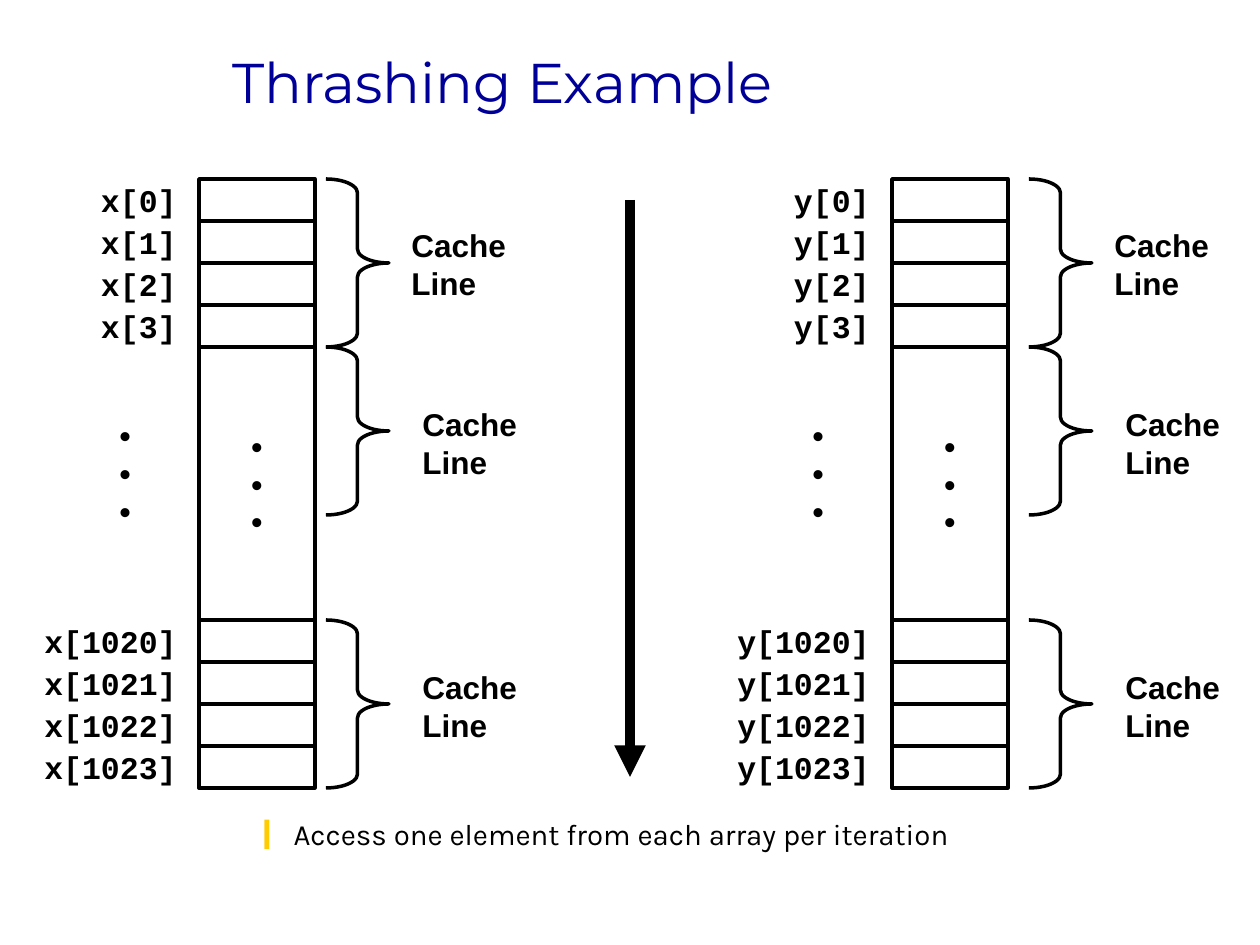
"""Build the "Thrashing Example" slide: two arrays that share cache lines."""
import pptx
import pptx.util
from dataclasses import dataclass
from lxml import etree
from pptx.dml.color import RGBColor
from pptx.enum.shapes import MSO_CONNECTOR, MSO_SHAPE
from pptx.enum.text import MSO_ANCHOR, MSO_AUTO_SIZE, PP_ALIGN
from pptx.oxml.ns import qn


@dataclass(frozen=True)
class Theme:
    ink: RGBColor = RGBColor(0, 0, 0)
    paper: RGBColor = RGBColor(255, 255, 255)
    title: RGBColor = RGBColor(0, 0, 0x99)
    bullet: str = "FFCC00"
    title_size: float = 32
    body_size: float = 16.8
    label_size: float = 18
    outline: float = 2
    arrow: float = 6
    title_font: str = "Montserrat"
    body_font: str = "Karla"
    label_font: str = "Arial"
    code_font: str = "Courier New"


THEME = Theme()
TITLE = "Thrashing Example"
NOTE = "Access one element from each array per iteration"
DOTS = ["•"] * 3
CACHE_LINE = ["Cache", "Line"]
ARRAYS = [
    {"name": "x", "left": 42, "brace": 326},
    {"name": "y", "left": 735, "brace": 1029},
]
ROW = 42
GROUP = 4 * ROW
TOP = 179
GAP = 273
LAST = TOP + GROUP + GAP
BLOCKS = [(0, TOP), (1020, LAST)]
CACHE_LINES = [
    {"top": TOP, "text_shift": 73, "text_top": 220},
    {"top": TOP + GROUP, "text_shift": 84, "text_top": 399},
    {"top": LAST, "text_shift": 84, "text_top": 662},
]


def px(*lengths):
    return [pptx.util.Emu(length * 914400 // 126) for length in lengths]


def write(shape, lines, size, font, color=THEME.ink, bold=False, align=PP_ALIGN.LEFT):
    frame = shape.text_frame
    frame.text = "\n".join(lines)
    for para in frame.paragraphs:
        para.alignment = align
        para.font.size = pptx.util.Pt(size)
        para.font.name = font
        para.font.bold = bold
        para.font.color.rgb = color


def add_rect(slide, place, outlined, lines=(), font=THEME.label_font, align=PP_ALIGN.CENTER):
    rect = slide.shapes.add_shape(MSO_SHAPE.RECTANGLE, *px(*place))
    rect.shadow.inherit = False
    rect.fill.solid()
    rect.fill.fore_color.rgb = THEME.paper
    if outlined:
        rect.line.color.rgb = THEME.ink
        rect.line.width = pptx.util.Pt(THEME.outline)
    else:
        rect.line.fill.background()
    if lines:
        rect.text_frame.word_wrap = False
        rect.text_frame.vertical_anchor = MSO_ANCHOR.MIDDLE
        write(rect, lines, THEME.label_size, font, bold=True, align=align)


def add_label(slide, place, lines, align=PP_ALIGN.LEFT):
    box = slide.shapes.add_textbox(*px(*place))
    box.text_frame.word_wrap = False
    box.text_frame.auto_size = MSO_AUTO_SIZE.SHAPE_TO_FIT_TEXT
    write(box, lines, THEME.label_size, THEME.label_font, bold=True, align=align)


def add_brace(slide, left, top):
    brace = slide.shapes.add_shape(MSO_SHAPE.RIGHT_BRACE, *px(left, top, 63, GROUP))
    brace.shadow.inherit = False
    brace.adjustments[0] = 0.22
    brace.fill.background()
    brace.line.color.rgb = THEME.ink
    brace.line.width = pptx.util.Pt(THEME.outline)


def add_array(slide, array):
    left = array["left"]
    cells = left + 157
    for first, top in BLOCKS:
        for row in range(4):
            y = top + row * ROW
            add_rect(slide, (cells, y, 116, ROW), True)
            add_rect(slide, (left, y, 147, ROW), False, [f"{array['name']}[{first + row}]"],
                     THEME.code_font, PP_ALIGN.RIGHT)
    add_rect(slide, (cells, TOP + GROUP, 116, GAP), True, DOTS)
    add_label(slide, (left + 64, 410, 37, 126), DOTS, PP_ALIGN.RIGHT)
    for line in CACHE_LINES:
        add_brace(slide, array["brace"], line["top"])
        place = (array["brace"] + line["text_shift"], line["text_top"], 120, 88)
        add_label(slide, place, CACHE_LINE)


def add_arrow(slide):
    arrow = slide.shapes.add_connector(MSO_CONNECTOR.STRAIGHT, *px(630, 200, 630, 777))
    arrow.line.color.rgb = THEME.ink
    arrow.line.width = pptx.util.Pt(THEME.arrow)
    etree.SubElement(arrow.line._get_or_add_ln(), qn("a:tailEnd"), type="triangle")
    etree.SubElement(arrow._element.spPr, qn("a:effectLst"))


def place_text(shape, place, anchor):
    shape.left, shape.top, shape.width, shape.height = px(*place)
    shape.text_frame.auto_size = MSO_AUTO_SIZE.NONE
    shape.text_frame.vertical_anchor = anchor


def add_note(body):
    place_text(body, (179, 819, 892, 64), MSO_ANCHOR.TOP)
    write(body, [NOTE], THEME.body_size, THEME.body_font)
    para = body.text_frame.paragraphs[0]
    para.level = 1
    para.line_spacing = 0.7
    para.space_before = pptx.util.Pt(6)
    props = para._p.get_or_add_pPr()
    indent, hanging = px(102, -39)
    props.set("marL", str(indent))
    props.set("indent", str(hanging))
    color = etree.Element(qn("a:buClr"))
    etree.SubElement(color, qn("a:srgbClr"), val=THEME.bullet)
    mark = etree.Element(qn("a:buChar"), char="❙")
    defaults = props.find(qn("a:defRPr"))
    defaults.addprevious(color)
    defaults.addprevious(mark)


def main():
    deck = pptx.Presentation()
    deck.slide_width, deck.slide_height = px(1260, 945)
    slide = deck.slides.add_slide(deck.slide_layouts[1])
    title, body = slide.placeholders
    place_text(title, (220, 42, 955, 79), MSO_ANCHOR.BOTTOM)
    write(title, [TITLE], THEME.title_size, THEME.title_font, THEME.title)
    add_note(body)
    for array in ARRAYS:
        add_array(slide, array)
    add_arrow(slide)
    deck.save("out.pptx")


if __name__ == "__main__":
    main()
